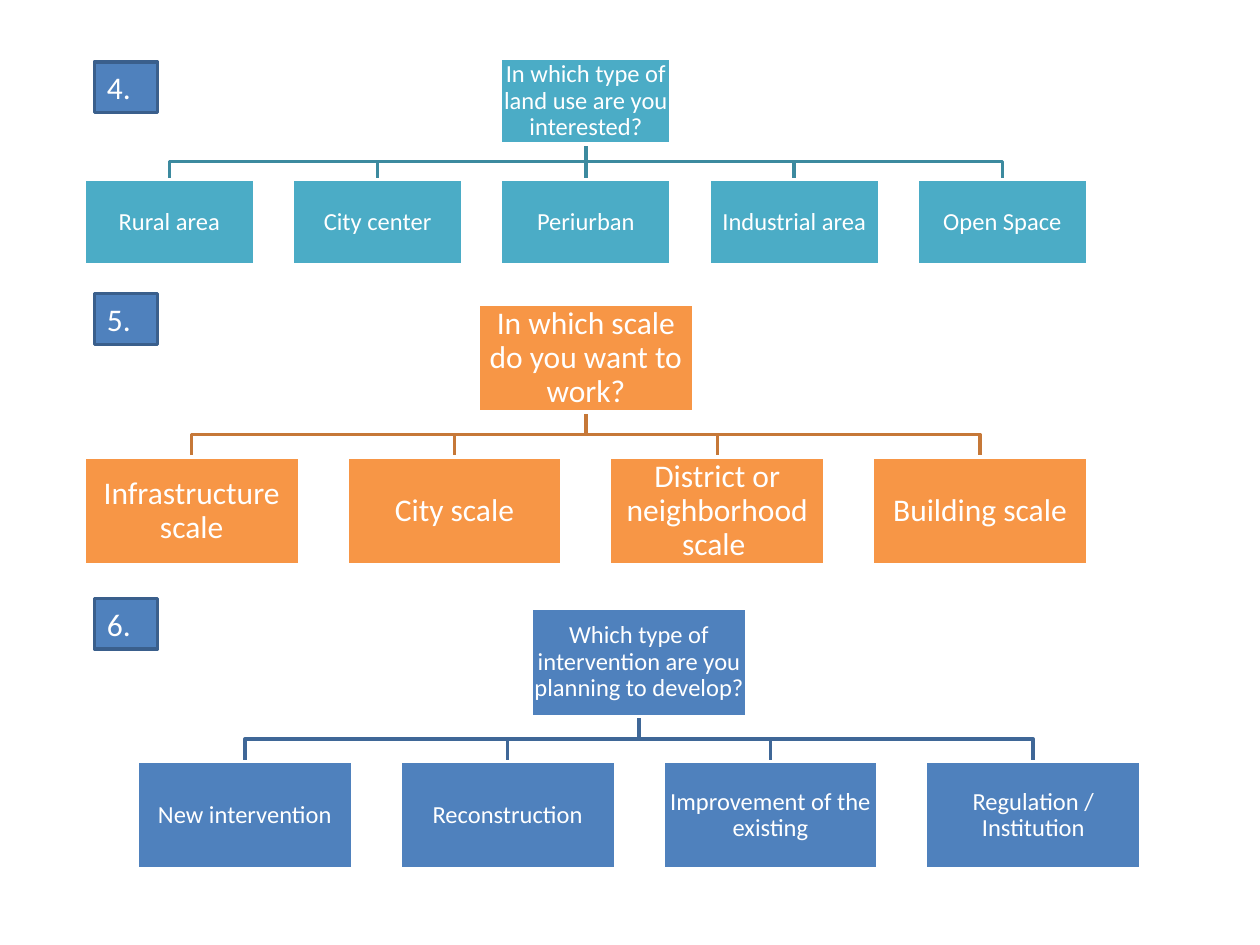
from pptx import Presentation
from pptx.dml.color import RGBColor
from pptx.enum.shapes import MSO_CONNECTOR as CONN, MSO_SHAPE as SHAPE
from pptx.enum.text import MSO_ANCHOR as ANCHOR, PP_ALIGN as ALIGN
from pptx.oxml.ns import qn
from pptx.util import Pt

WHITE = RGBColor(0xFF, 0xFF, 0xFF)
BLUE = RGBColor(0x4F, 0x81, 0xBD)
BLUE_LINE = RGBColor(0x3F, 0x67, 0x97)
BADGE_LINE = RGBColor(0x3A, 0x5F, 0x8C)
TEAL = RGBColor(0x4B, 0xAC, 0xC6)
TEAL_LINE = RGBColor(0x3C, 0x8A, 0x9F)
ORANGE = RGBColor(0xF7, 0x96, 0x46)
ORANGE_LINE = RGBColor(0xC6, 0x78, 0x38)

GAP_RATIO = 0.22
DROP_RATIO = 0.21
TREE_WIDTH = 573.6

QUESTIONS = [
    ("4.", 35.3, 48, 33.4, 14, TEAL, TEAL_LINE,
     "In which type of land use are you interested?",
     ["Rural area", "City center", "Periurban", "Industrial area", "Open Space"]),
    ("5.", 167.8, 48, 173.8, 18, ORANGE, ORANGE_LINE,
     "In which scale do you want to work?",
     ["Infrastructure scale", "City scale", "District or neighborhood scale ",
      "Building scale"]),
    ("6.", 342, 78.4, 347.8, 14, BLUE, BLUE_LINE,
     "Which type of intervention are you planning to develop?",
     ["New intervention", "Reconstruction", "Improvement of the existing",
      "Regulation / Institution"]),
]


def add_box(s, text, x, y, w, h, size, fill, line):
    sp = s.shapes.add_shape(SHAPE.RECTANGLE, Pt(x), Pt(y), Pt(w), Pt(h))
    sp.shadow.inherit = False
    sp.fill.solid()
    sp.fill.fore_color.rgb = fill
    sp.line.color.rgb = line
    sp.line.width = Pt(2)
    tf = sp.text_frame
    tf.text = text
    tf.word_wrap = True
    font = tf.paragraphs[0].runs[0].font
    font.name, font.size, font.color.rgb = "Calibri", Pt(size), WHITE
    return tf


def add_node(s, text, x, y, w, size, fill):
    tf = add_box(s, text, x, y, w, w / 2, size, fill, WHITE)
    tf.vertical_anchor = ANCHOR.MIDDLE
    tf.margin_left = tf.margin_right = tf.margin_top = tf.margin_bottom = Pt(0.7)
    p = tf.paragraphs[0]
    p.alignment = ALIGN.CENTER
    p.line_spacing = 0.9


def add_link(s, x1, y1, x2, y2, color):
    if abs(x1 - x2) < 0.1:
        sp = s.shapes.add_connector(CONN.STRAIGHT, Pt(x1), Pt(y1), Pt(x1), Pt(y2))
        sp._element.spPr.get_or_add_ln()
        sp._element.spPr.append(sp._element.makeelement(qn("a:effectLst"), {}))
    else:
        mid = (y1 + y2) / 2
        fb = s.shapes.build_freeform(Pt(x1), Pt(y1))
        corners = [(x1, mid), (x2, mid), (x2, y2)]
        fb.add_line_segments([(Pt(x), Pt(y)) for x, y in corners], close=False)
        sp = fb.convert_to_shape()
        sp.shadow.inherit = False
        sp.fill.background()
    sp.line.color.rgb = color
    sp.line.width = Pt(2)


def add_tree(s, x, y, width, size, fill, line, question, answers):
    n = len(answers)
    w = width / (n + (n - 1) * GAP_RATIO)
    pitch = w * (1 + GAP_RATIO)
    root_x = x + (width - w) / 2
    root_bottom = y + w / 2
    row_y = root_bottom + w * DROP_RATIO
    for i in reversed(range(n)):
        add_link(s, root_x + w / 2, root_bottom, x + i * pitch + w / 2, row_y, line)
    add_node(s, question, root_x, y, w, size, fill)
    for i, answer in enumerate(answers):
        add_node(s, answer, x + i * pitch, row_y, w, size, fill)


def add_badge(s, text, x, y):
    tf = add_box(s, text, x, y, 36, 29, 18, BLUE, BADGE_LINE)
    tf.vertical_anchor = ANCHOR.TOP
    tf.paragraphs[0].alignment = ALIGN.LEFT


def main():
    prs = Presentation()
    prs.slide_width, prs.slide_height = Pt(720), Pt(540)
    s = prs.slides.add_slide(prs.slide_layouts[6])
    for number, badge_y, x, y, size, fill, line, question, answers in QUESTIONS:
        add_tree(s, x, y, TREE_WIDTH, size, fill, line, question, answers)
        add_badge(s, number, 54, badge_y)
    prs.save("out.pptx")


if __name__ == "__main__":
    main()
